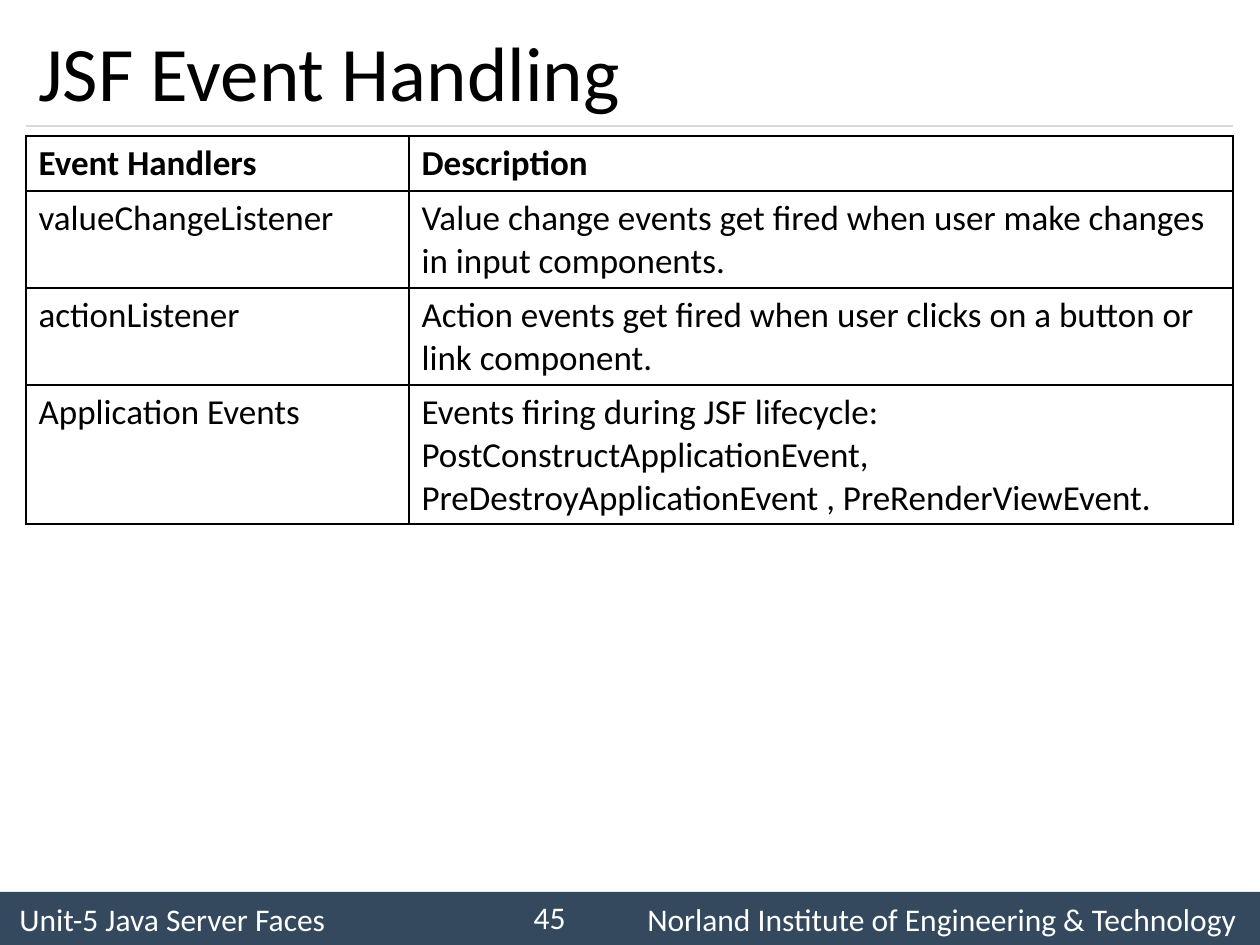
from dataclasses import dataclass

from lxml.etree import SubElement
from pptx import Presentation
from pptx.dml.color import RGBColor
from pptx.enum.shapes import MSO_CONNECTOR, MSO_SHAPE
from pptx.enum.text import MSO_ANCHOR, PP_ALIGN
from pptx.oxml import parse_xml
from pptx.oxml.ns import nsdecls, qn
from pptx.slide import Slide
from pptx.text.text import TextFrame
from pptx.util import Emu, Pt

BLACK = RGBColor(0x00, 0x00, 0x00)
WHITE = RGBColor(0xFF, 0xFF, 0xFF)
NAVY = RGBColor(0x34, 0x49, 0x5E)
LIGHT_GRAY = RGBColor(0xD9, 0xD9, 0xD9)
FONT = "Calibri"
PIXELS_PER_INCH = 126

LEFT = 26
CONTENT_WIDTH = 1207
COLUMN_WIDTHS = (383, 824)
FOOTER_TOP = 892


@dataclass(frozen=True)
class Label:
    text: str
    left: int
    top: int
    width: int
    height: int
    size: int
    color: RGBColor
    alignment: PP_ALIGN = PP_ALIGN.LEFT


@dataclass(frozen=True)
class HandlerTable:
    top: int
    height: int
    handler: str
    description: str
    bold: bool = False


LABELS = (
    Label("JSF Event Handling", LEFT, 15, CONTENT_WIDTH, 111, 44, BLACK),
    Label("Unit-5 Java Server Faces", 7, FOOTER_TOP, 480, 53, 18, WHITE),
    Label("45", 494, FOOTER_TOP, 84, 50, 18, WHITE, PP_ALIGN.RIGHT),
    Label("Norland Institute of Engineering & Technology",
          609, FOOTER_TOP, 640, 53, 18, WHITE, PP_ALIGN.RIGHT),
)

TABLES = (
    HandlerTable(136, 54, "Event Handlers", "Description", True),
    HandlerTable(191, 97, "valueChangeListener",
                 "Value change events get fired when user make changes in input components."),
    HandlerTable(288, 97, "actionListener",
                 "Action events get fired when user clicks on a button or link component."),
    HandlerTable(385, 139, "Application Events",
                 "Events firing during JSF lifecycle: PostConstructApplicationEvent,\n"
                 "PreDestroyApplicationEvent , PreRenderViewEvent."),
)


def px(length: int) -> Emu:
    return Emu(round(length * 914400 / PIXELS_PER_INCH))


def write_text(frame: TextFrame, text: str, size: int, color: RGBColor,
               alignment: PP_ALIGN = PP_ALIGN.LEFT, bold: bool = False) -> None:
    frame.text = text
    frame.word_wrap = True
    for paragraph in frame.paragraphs:
        paragraph.alignment = alignment
        paragraph.font.name = FONT
        paragraph.font.size = Pt(size)
        paragraph.font.bold = bold
        paragraph.font.color.rgb = color


def add_label(slide: Slide, label: Label) -> None:
    box = slide.shapes.add_textbox(
        px(label.left), px(label.top), px(label.width), px(label.height))
    write_text(box.text_frame, label.text, label.size, label.color, label.alignment)
    box.text_frame.vertical_anchor = MSO_ANCHOR.MIDDLE


def add_footer_bar(slide: Slide) -> None:
    bar = slide.shapes.add_shape(
        MSO_SHAPE.RECTANGLE, 0, px(FOOTER_TOP), px(1260), px(53))
    bar.shadow.inherit = False
    bar.fill.solid()
    bar.fill.fore_color.rgb = NAVY
    bar.line.fill.background()


def add_title_rule(slide: Slide) -> None:
    rule = slide.shapes.add_connector(
        MSO_CONNECTOR.STRAIGHT, px(LEFT), px(126), px(LEFT + CONTENT_WIDTH), px(126))
    rule.line.color.rgb = LIGHT_GRAY
    rule.line.width = Pt(0.75)
    SubElement(rule._element.spPr, qn("a:effectLst"))


def add_handler_table(slide: Slide, row: HandlerTable) -> None:
    table = slide.shapes.add_table(
        1, 2, px(LEFT), px(row.top), px(CONTENT_WIDTH), px(row.height)).table
    table.first_row = False
    table.horz_banding = False
    for column, width in zip(table.columns, COLUMN_WIDTHS):
        column.width = px(width)
    for cell, text in zip(table.rows[0].cells, (row.handler, row.description)):
        write_text(cell.text_frame, text, 20, BLACK, bold=row.bold)
        cell.fill.background()
        properties = cell._tc.get_or_add_tcPr()
        for index, side in enumerate(("lnL", "lnR", "lnT", "lnB")):
            properties.insert(index, parse_xml(
                f'<a:{side} {nsdecls("a")} w="{Pt(1)}"><a:solidFill>'
                f'<a:srgbClr val="{BLACK}"/></a:solidFill></a:{side}>'))


def main() -> None:
    presentation = Presentation()
    presentation.slide_width = px(1260)
    presentation.slide_height = px(945)
    slide = presentation.slides.add_slide(presentation.slide_layouts[6])
    add_footer_bar(slide)
    add_title_rule(slide)
    for label in LABELS:
        add_label(slide, label)
    for row in TABLES:
        add_handler_table(slide, row)
    presentation.save("out.pptx")


if __name__ == "__main__":
    main()
